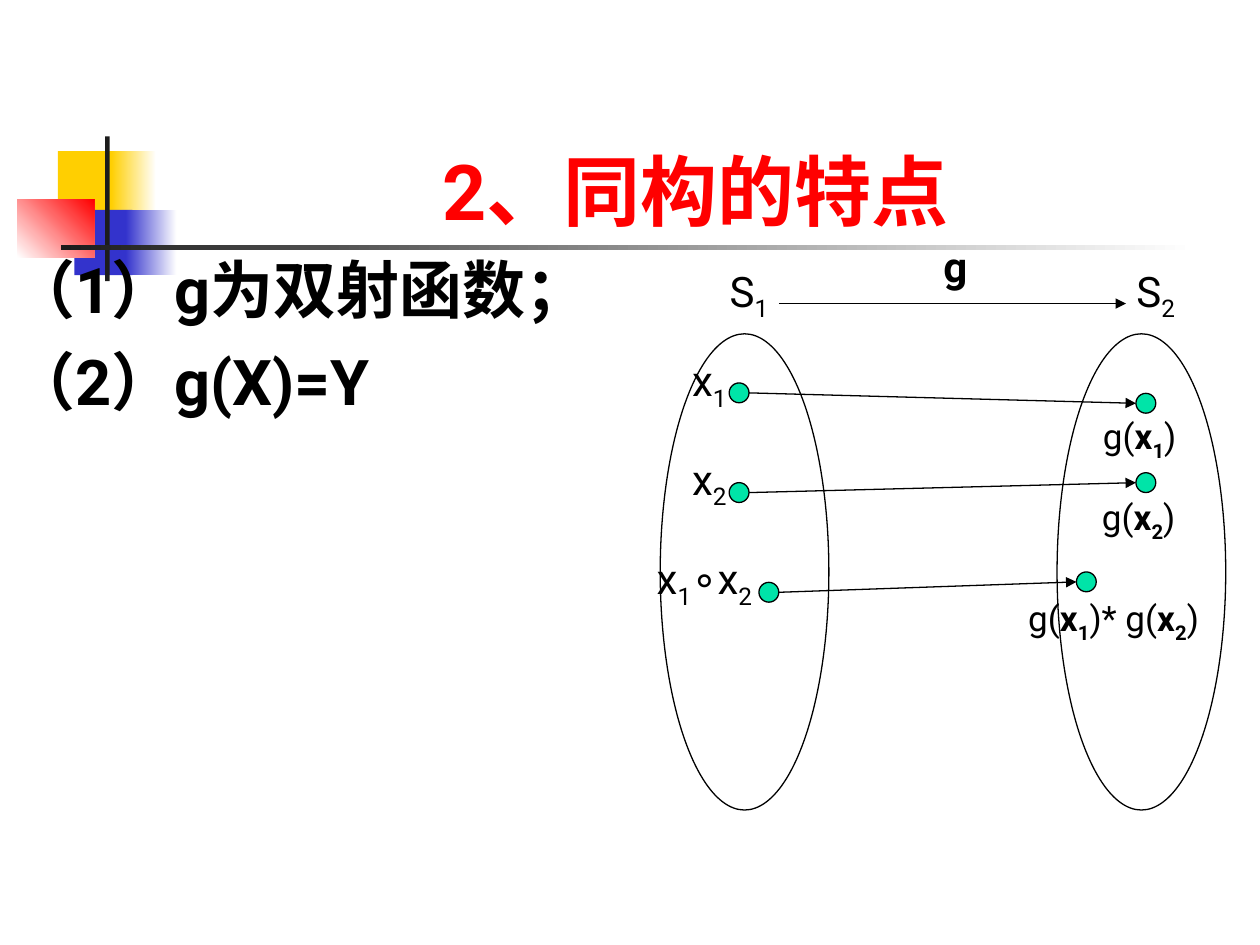
import pptx
import pptx.util
import pptx.dml.color
import pptx.enum.shapes
import pptx.enum.text
import pptx.oxml
import pptx.oxml.ns

Cm, Pt = pptx.util.Cm, pptx.util.Pt
RGB = pptx.dml.color.RGBColor.from_string
SHAPE = pptx.enum.shapes.MSO_SHAPE
ANCHOR = pptx.enum.text.MSO_ANCHOR
ALIGN = pptx.enum.text.PP_ALIGN

THEME = {
    "font": "Roboto", "title": "FF0000", "ink": "000000", "paper": "FFFFFF",
    "dot": "00E4A8", "yellow": "FFCF01", "blue": "3333CC", "red": "FF0000",
    "bar": "1C1C1C", "title_size": 44, "body_size": 36, "label_size": 24,
    "image_size": 20, "line": 0.75,
}


def add_shape(kind, box, fill=None, line=None, fade=None):
    sp = s.shapes.add_shape(kind, *map(Cm, box))
    sp.shadow.inherit = False
    if fade:
        sp.fill.gradient()
        sp.fill.gradient_angle = fade[2]
        for stop, color, position in zip(sp.fill.gradient_stops, fade, (0, 1)):
            stop.color.rgb = RGB(THEME[color])
            stop.position = position
    elif fill:
        sp.fill.solid()
        sp.fill.fore_color.rgb = RGB(THEME[fill])
    else:
        sp.fill.background()
    if line:
        sp.line.color.rgb = RGB(THEME[line])
        sp.line.width = Pt(THEME["line"])
    else:
        sp.line.fill.background()


def write(p, runs, size, color="ink"):
    for text, style in runs:
        r = p.add_run()
        r.text = text
        look = {"name": THEME["font"], "size": Pt(THEME[size]), "bold": "b" in style}
        for key, value in look.items():
            setattr(r.font, key, value)
        r.font.color.rgb = RGB(THEME[color])
        if "s" in style:
            r._r.get_or_add_rPr().set("baseline", "-25000")


prs = pptx.Presentation()
prs.slide_width, prs.slide_height = Cm(25.4), Cm(19.05)
s = prs.slides.add_slide(prs.slide_layouts[5])

for box, fill, fade in [
    ((1.17, 3.05, 1.22, 1.32), "yellow", None),
    ((2.24, 3.05, 0.91, 1.32), None, ("yellow", "paper", 0)),
    ((1.5, 4.23, 1.17, 1.32), "blue", None),
    ((2.54, 4.23, 1.02, 1.32), None, ("blue", "paper", 0)),
    ((0.35, 4.02, 1.55, 1.17), None, ("paper", "red", 45)),
    ((2.12, 2.75, 0.09, 2.92), "bar", None),
    ((1.23, 4.94, 22.86, 0.1), None, ("bar", "paper", 0)),
]:
    add_shape(SHAPE.RECTANGLE, box, fill, fade=fade)

title = s.shapes.title
for key, value in {"left": 3.2, "top": 1.7, "width": 21.64, "height": 3.18}.items():
    setattr(title, key, Cm(value))
tf = title.text_frame
tf.auto_size = pptx.enum.text.MSO_AUTO_SIZE.NONE
tf.vertical_anchor = ANCHOR.BOTTOM
p = tf.paragraphs[0]
p.alignment = ALIGN.CENTER
write(p, [("2、同构的特点", "b")], "title_size", "title")

tf = s.shapes.add_textbox(Cm(0), Cm(4.93), Cm(24.87), Cm(3.99)).text_frame
tf.word_wrap = True
for i, text in enumerate(["（1）g为双射函数；", "（2）g(X)=Y"]):
    p = tf.add_paragraph() if i else tf.paragraphs[0]
    p.space_before = Pt(9 if i else 0)
    pPr = p._p.get_or_add_pPr()
    pPr.set("marL", str(Cm(0.95)))
    pPr.set("indent", str(Cm(-0.95)))
    write(p, [(text, "b")], "body_size")

for left in (13.31, 21.31):
    add_shape(SHAPE.OVAL, (left, 6.73, 3.4, 9.6), line="ink")

arrows = [(15.7, 6.12, 22.7, 6.12)]
radius = 0.2
for x1, y1, x2, y2 in [
    (14.9, 7.92, 23.1, 8.13),
    (14.9, 9.93, 23.1, 9.73),
    (15.5, 11.94, 21.9, 11.73),
]:
    for x, y in ((x1, y1), (x2, y2)):
        add_shape(SHAPE.OVAL, (x - radius, y - radius, 2 * radius, 2 * radius), "dot", "ink")
    arrows.append((x1 + radius, y1, x2 - radius, y2))

for ends in arrows:
    cx = s.shapes.add_connector(pptx.enum.shapes.MSO_CONNECTOR.STRAIGHT, *map(Cm, ends))
    cx.line.color.rgb = RGB(THEME["ink"])
    cx.line.width = Pt(THEME["line"])
    ln = cx.line._get_or_add_ln()
    ns = pptx.oxml.ns.nsdecls("a")
    ln.append(pptx.oxml.parse_xml(f'<a:tailEnd {ns} type="triangle"/>'))
    ln.addnext(pptx.oxml.parse_xml(f"<a:effectLst {ns}/>"))

x1, x2 = [[("x", ""), (n, "s")] for n in "12"]
gx1, gx2 = [[("g(", ""), ("x", "b"), (n, "bs"), (")", "")] for n in "12"]
for box, runs, size, anchor in [
    ((14.3, 5.33, 1.6, 1.19), [("S", ""), ("1", "s")], "label_size", ANCHOR.MIDDLE),
    ((22.5, 5.33, 1.6, 1.19), [("S", ""), ("2", "s")], "label_size", ANCHOR.MIDDLE),
    ((18.7, 4.72, 1.12, 1.27), [("g", "b")], "label_size", ANCHOR.TOP),
    ((13.5, 7.13, 1.6, 1.19), x1, "label_size", ANCHOR.MIDDLE),
    ((13.5, 9.12, 1.6, 1.19), x2, "label_size", ANCHOR.MIDDLE),
    ((12.8, 11.13, 2.8, 1.19), x1 + [("∘", "")] + x2, "label_size", ANCHOR.MIDDLE),
    ((21.97, 8.23, 2.01, 1.22), gx1, "image_size", ANCHOR.TOP),
    ((21.95, 9.86, 2.01, 1.22), gx2, "image_size", ANCHOR.TOP),
    ((20.2, 11.92, 4.5, 1.19), gx1 + [("* ", "")] + gx2, "image_size", ANCHOR.MIDDLE),
]:
    tf = s.shapes.add_textbox(*map(Cm, box)).text_frame
    tf.word_wrap = False
    tf.vertical_anchor = anchor
    p = tf.paragraphs[0]
    p.alignment = ALIGN.CENTER
    write(p, runs, size)

prs.save("out.pptx")
